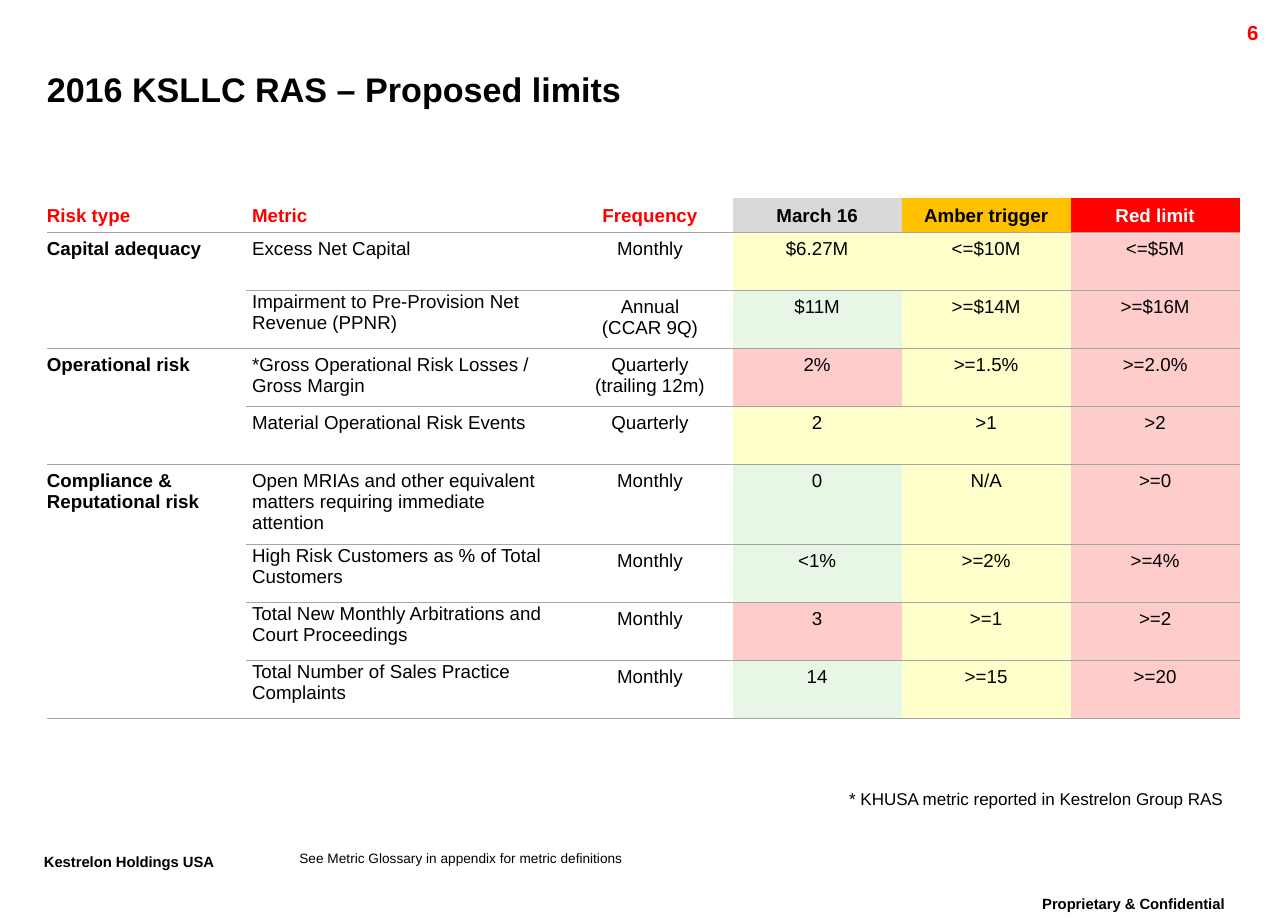
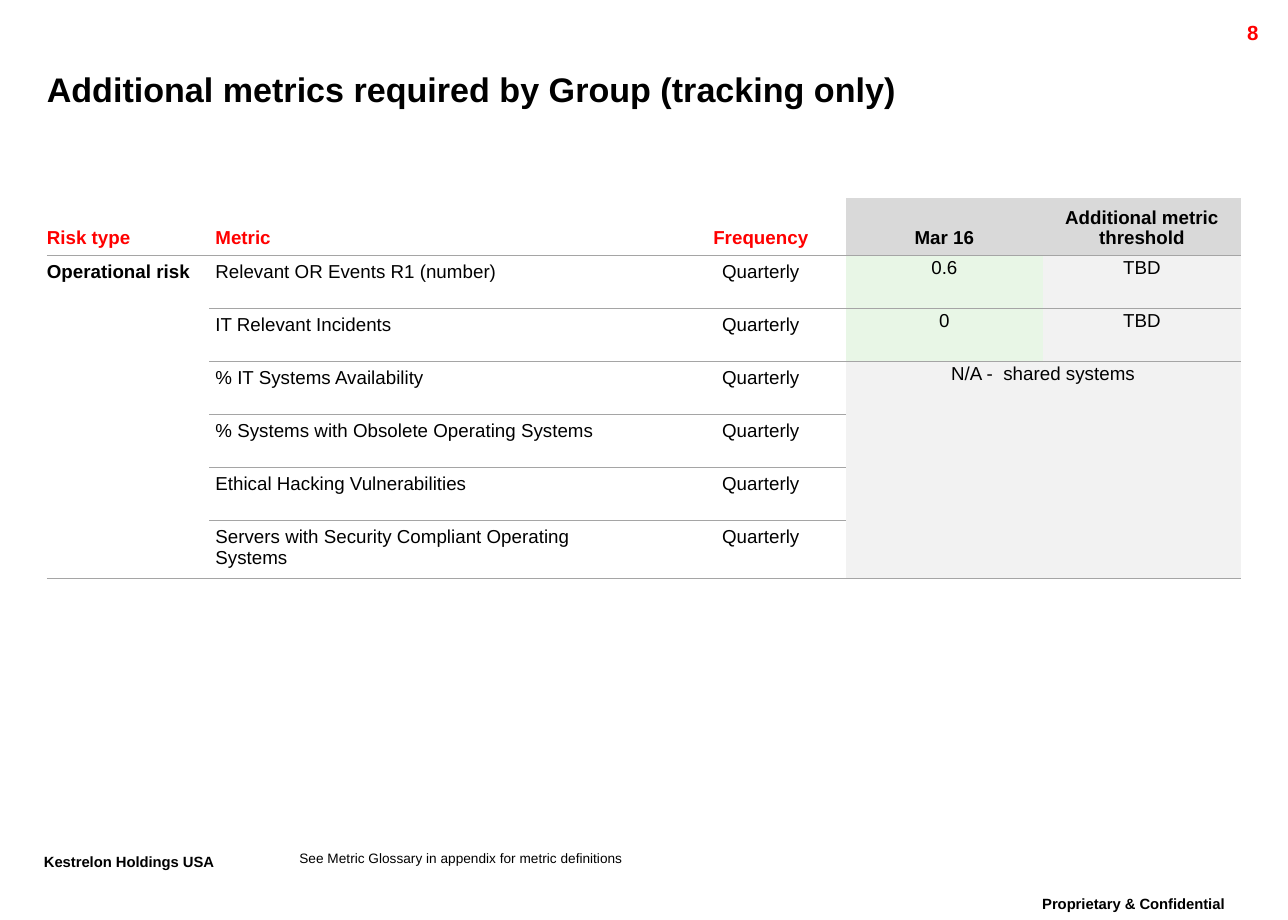
import dataclasses
import typing

import lxml.etree
import pptx
import pptx.dml.color
import pptx.enum.text
import pptx.oxml.ns
import pptx.util

Cm = pptx.util.Cm
Pt = pptx.util.Pt
RGBColor = pptx.dml.color.RGBColor
PP_ALIGN = pptx.enum.text.PP_ALIGN
MSO_ANCHOR = pptx.enum.text.MSO_ANCHOR

# Shared look
FONT = "Arial"
BLACK = RGBColor(0x00, 0x00, 0x00)
WHITE = RGBColor(0xFF, 0xFF, 0xFF)
RED = RGBColor(0xFF, 0x00, 0x00)
AMBER = RGBColor(0xFF, 0xC0, 0x00)
SILVER = RGBColor(0xD9, 0xD9, 0xD9)
PALE_GREY = RGBColor(0xF2, 0xF2, 0xF2)
PALE_RED = RGBColor(0xFF, 0xCC, 0xCC)
PALE_YELLOW = RGBColor(0xFF, 0xFF, 0xCC)
PALE_GREEN = RGBColor(0xE8, 0xF6, 0xE6)
RULE_GREY = RGBColor(0xA5, 0xA5, 0xA5)

PLAIN_TABLE_STYLE = "{2D5ABB26-0587-4C30-8999-92F81FD0307C}"
TABLE_LEFT, TABLE_TOP = 0.97, 4.09

# Insets in cm: left, top, right, bottom
NO_INSET = (0, 0, 0, 0)
BOX_INSET = (0.25, 0.13, 0.25, 0.13)
CELL_INSET = (0.13, 0.13, 0.13, 0.13)
FIRST_INSET = (0, 0.13, 0.13, 0.13)
TIGHT_INSET = (0.13, 0.03, 0.03, 0)


@dataclasses.dataclass
class Column:
    title: str
    width: float
    align: typing.Any = PP_ALIGN.CENTER
    title_fill: typing.Any = None
    title_color: RGBColor = RED
    fill: typing.Any = None
    shows_status: bool = False
    spacing: typing.Any = None


def write(frame, text, *, size=11, color=BLACK, bold=False,
          align=PP_ALIGN.LEFT, spacing=None, baseline=None):
    """Fill a text frame; each line of the text becomes a paragraph."""
    frame.text = text
    for paragraph in frame.paragraphs:
        paragraph.alignment = align
        if spacing is not None:
            paragraph.line_spacing = spacing
        for run in paragraph.runs:
            run.font.name = FONT
            run.font.size = Pt(size)
            run.font.bold = bold
            run.font.color.rgb = color
            if baseline:
                run.font.language_id = None
                run._r.get_or_add_rPr().set("baseline", str(baseline * 1000))


def set_insets(holder, insets):
    (holder.margin_left, holder.margin_top,
     holder.margin_right, holder.margin_bottom) = map(Cm, insets)


def add_text(slide, text, left, top, width, height, *,
             insets=BOX_INSET, anchor=MSO_ANCHOR.TOP, **text_format):
    box = slide.shapes.add_textbox(Cm(left), Cm(top), Cm(width), Cm(height))
    frame = box.text_frame
    frame.word_wrap = True
    frame.vertical_anchor = anchor
    set_insets(frame, insets)
    write(frame, text, **text_format)


def add_bottom_rule(cell):
    qn = pptx.oxml.ns.qn
    line = lxml.etree.Element(qn("a:lnB"), w=str(Pt(0.75)))
    solid = lxml.etree.SubElement(line, qn("a:solidFill"))
    lxml.etree.SubElement(solid, qn("a:srgbClr"), val=str(RULE_GREY))
    cell._tc.get_or_add_tcPr().insert(0, line)


def format_cell(cell, text, *, fill, insets, anchor=MSO_ANCHOR.TOP,
                **text_format):
    set_insets(cell, insets)
    cell.vertical_anchor = anchor
    if fill is None:
        cell.fill.background()
    else:
        cell.fill.solid()
        cell.fill.fore_color.rgb = fill
    if not cell.is_spanned:
        write(cell.text_frame, text, **text_format)
        add_bottom_rule(cell)


def add_metric_table(slide, columns, rows, heights, merges, tight_rows=()):
    """Rows hold a status fill, then the cell texts; heights include the header."""
    frame = slide.shapes.add_table(
        len(heights), len(columns), Cm(TABLE_LEFT), Cm(TABLE_TOP),
        Cm(sum(column.width for column in columns)), Cm(sum(heights)))
    table = frame.table
    table.first_row = table.horz_banding = False
    table._tbl.tblPr.find(
        pptx.oxml.ns.qn("a:tableStyleId")).text = PLAIN_TABLE_STYLE
    for row, height in zip(table.rows, heights):
        row.height = Cm(height)
    for top, left, bottom, right in merges:
        table.cell(top, left).merge(table.cell(bottom, right))

    for c, column in enumerate(columns):
        table.columns[c].width = Cm(column.width)
        insets = CELL_INSET if c else FIRST_INSET
        format_cell(table.cell(0, c), column.title, fill=column.title_fill,
                    insets=insets, anchor=MSO_ANCHOR.BOTTOM, bold=True,
                    color=column.title_color, align=column.align)
        for r, (status, *texts) in enumerate(rows, start=1):
            tight = c == 1 and r in tight_rows
            format_cell(table.cell(r, c), texts[c],
                        fill=status if column.shows_status else column.fill,
                        insets=TIGHT_INSET if tight else insets,
                        bold=c == 0, align=column.align,
                        spacing=column.spacing)


def add_base_slide(deck, title, number):
    """Slide with the title, page number and footers that all slides share."""
    slide = deck.slides.add_slide(deck.slide_layouts[6])
    footer = dict(size=15, bold=True, spacing=0.86, baseline=30)
    add_text(slide, "Proprietary & Confidential", 20.7, 18.42, 5.54, 0.89,
             align=PP_ALIGN.CENTER, **footer)
    add_text(slide, "Kestrelon Holdings USA", 0.66, 17.55, 5.2, 0.89, **footer)
    add_text(slide, number, 23.77, 0.28, 2.54, 0.61, size=12, bold=True,
             color=RED, align=PP_ALIGN.RIGHT)
    add_text(slide, title, 0.97, 1.24, 24.08, 1.22, size=20, bold=True,
             insets=NO_INSET, anchor=MSO_ANCHOR.MIDDLE)
    add_text(slide, "See Metric Glossary in appendix for metric definitions",
             6.2, 17.6, 13.89, 0.33, size=8, insets=NO_INSET)
    return slide


def add_limits_slide(deck):
    slide = add_base_slide(deck, "2016 KSLLC RAS – Proposed limits", "6")
    columns = [
        Column("Risk type", 4.12, PP_ALIGN.LEFT),
        Column("Metric", 6.66, PP_ALIGN.LEFT),
        Column("Frequency", 3.42),
        Column("March 16", 3.5, title_fill=SILVER, title_color=BLACK,
               shows_status=True),
        Column("Amber trigger", 3.5, title_fill=AMBER, title_color=BLACK,
               fill=PALE_YELLOW),
        Column("Red limit", 3.5, title_fill=RED, title_color=WHITE,
               fill=PALE_RED),
    ]
    rows = [
        (PALE_YELLOW, "Capital adequacy", "Excess Net Capital",
         "Monthly", "$6.27M", "<=$10M", "<=$5M"),
        (PALE_GREEN, "", "Impairment to Pre-Provision Net Revenue (PPNR)",
         "Annual\n(CCAR 9Q)", "$11M", ">=$14M", ">=$16M"),
        (PALE_RED, "Operational risk",
         "*Gross Operational Risk Losses / Gross Margin",
         "Quarterly\n(trailing 12m)", "2%", ">=1.5%", ">=2.0%"),
        (PALE_YELLOW, "", "Material Operational Risk Events",
         "Quarterly", "2", ">1", ">2"),
        (PALE_GREEN, "Compliance & Reputational risk",
         "Open MRIAs and other equivalent matters requiring immediate attention",
         "Monthly", "0", "N/A", ">=0"),
        (PALE_GREEN, "", "High Risk Customers as % of Total Customers",
         "Monthly", "<1%", ">=2%", ">=4%"),
        (PALE_RED, "", "Total New Monthly Arbitrations and Court Proceedings",
         "Monthly", "3", ">=1", ">=2"),
        (PALE_GREEN, "", "Total Number of Sales Practice Complaints",
         "Monthly", "14", ">=15", ">=20"),
    ]
    heights = [0.72] + [1.2] * 4 + [1.65] + [1.2] * 3
    add_metric_table(slide, columns, rows, heights,
                     merges=[(1, 0, 2, 0), (3, 0, 4, 0), (5, 0, 8, 0)],
                     tight_rows=(2, 6, 7, 8))
    add_text(slide, "* KHUSA metric reported in Kestrelon Group RAS",
             17.02, 16.26, 8.86, 0.64, size=10, align=PP_ALIGN.CENTER,
             spacing=0.86)


def add_tracking_slide(deck):
    slide = add_base_slide(
        deck, "Additional metrics required by Group (tracking only)", "8")
    value = dict(width=4.09, title_fill=SILVER, title_color=BLACK,
                 spacing=Pt(10))
    columns = [
        Column("Risk type", 3.36, PP_ALIGN.LEFT),
        Column("Metric", 9.67, PP_ALIGN.LEFT),
        Column("Frequency", 3.51),
        Column("Mar 16", shows_status=True, **value),
        Column("Additional metric threshold", fill=PALE_GREY, **value),
    ]
    metrics = [
        (PALE_GREEN, "Relevant OR Events R1 (number)", "0.6", "TBD"),
        (PALE_GREEN, "IT Relevant Incidents", "0", "TBD"),
        (PALE_GREY, "% IT Systems Availability", "N/A -  shared systems", ""),
        (PALE_GREY, "% Systems with Obsolete Operating Systems", "", ""),
        (PALE_GREY, "Ethical Hacking Vulnerabilities", "", ""),
        (PALE_GREY, "Servers with Security Compliant Operating\nSystems",
         "", ""),
    ]
    rows = [(status, "" if i else "Operational risk", metric, "Quarterly",
             *values) for i, (status, metric, *values) in enumerate(metrics)]
    add_metric_table(slide, columns, rows, [1.19] + [1.1] * 5 + [1.18],
                     merges=[(1, 0, 6, 0), (3, 3, 6, 4)])


def main():
    deck = pptx.Presentation()
    deck.slide_width, deck.slide_height = Cm(26.67), Cm(19.05)
    add_limits_slide(deck)
    add_tracking_slide(deck)
    deck.save("out.pptx")


if __name__ == "__main__":
    main()
